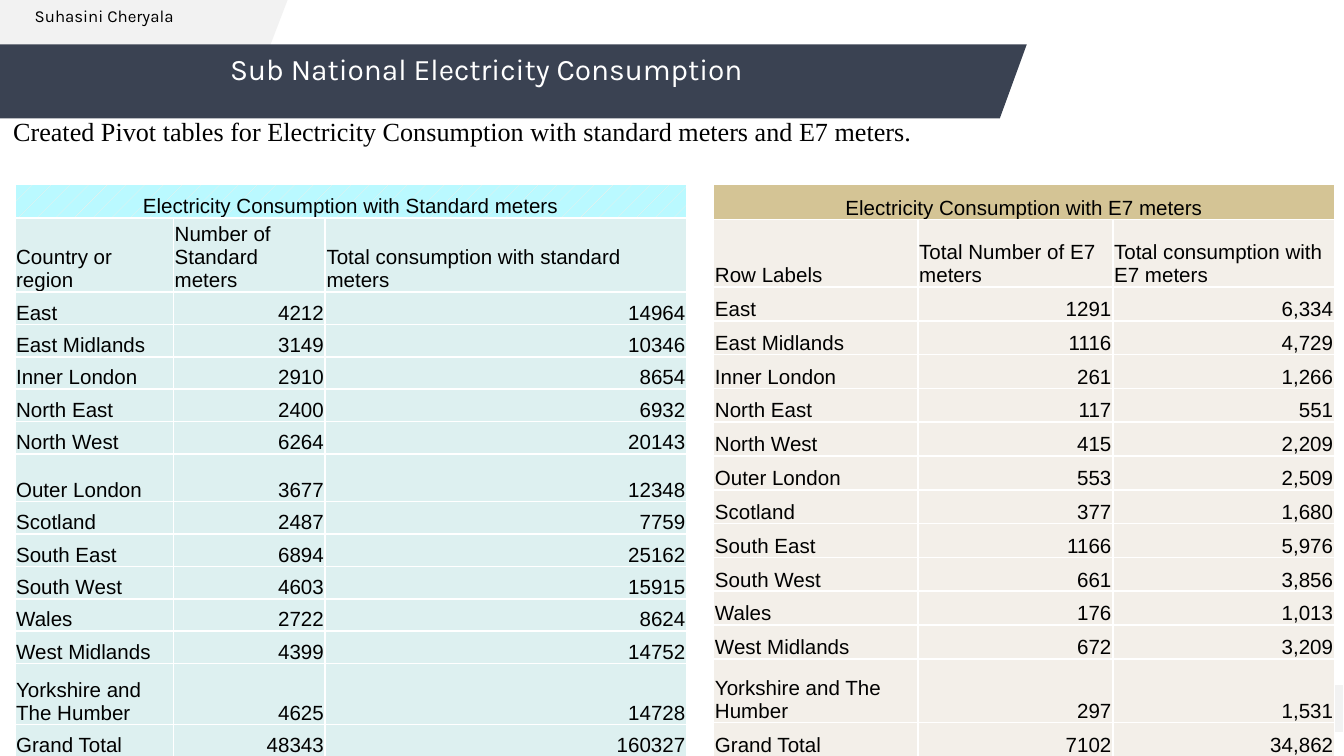
from dataclasses import dataclass

from lxml import etree
from pptx import Presentation
from pptx.dml.color import RGBColor
from pptx.enum.dml import MSO_PATTERN
from pptx.enum.text import MSO_ANCHOR, PP_ALIGN
from pptx.oxml.ns import qn
from pptx.util import Inches, Pt

LEFT, CENTER, RIGHT = PP_ALIGN.LEFT, PP_ALIGN.CENTER, PP_ALIGN.RIGHT
TOP, MIDDLE, BOTTOM = MSO_ANCHOR.TOP, MSO_ANCHOR.MIDDLE, MSO_ANCHOR.BOTTOM
DOTS = MSO_PATTERN.PERCENT_5


@dataclass(frozen=True)
class Theme:
    """Colours, fonts and type sizes of the slide."""
    ink: str = "000000"
    white: str = "FFFFFF"
    banner: str = "3A4252"
    tab: str = "F2F2F2"
    cyan: str = "BAF9FF"
    mint: str = "DDF0F0"
    gold: str = "D4C495"
    sand: str = "F3EFE9"
    heading: str = "Karla"
    body: str = "Times New Roman"
    table: str = "Arial"
    title_size: float = 16
    lead_size: float = 14
    table_size: float = 11
    author_size: float = 9


T = Theme()
REGIONS = ["East", "East Midlands", "Inner London", "North East", "North West",
           "Outer London", "Scotland", "South East", "South West", "Wales",
           "West Midlands", "Yorkshire and The Humber", "Grand Total"]
STANDARD = dict(
    title="Electricity Consumption with Standard meters",
    heads=["Country or region", "Number of Standard meters",
           "Total consumption with standard meters"],
    meters=[4212, 3149, 2910, 2400, 6264, 3677, 2487, 6894, 4603, 2722, 4399,
            4625, 48343],
    totals=[14964, 10346, 8654, 6932, 20143, 12348, 7759, 25162, 15915, 8624,
            14752, 14728, 160327],
    number="{}", cols=[1.18, 1.13, 2.69], height=4.2,
    rows=[0.25, 0.48] + [0.24] * 5 + [0.35] + [0.24] * 5 + [0.45, 0.24],
    title_fill=T.cyan, fill=T.mint, dots=T.sand)
E7 = dict(
    title="Electricity Consumption with E7 meters",
    heads=["Row Labels", "Total Number of E7 meters",
           "Total consumption with E7 meters"],
    meters=[1291, 1116, 261, 117, 415, 553, 377, 1166, 661, 176, 672, 297, 7102],
    totals=[6334, 4729, 1266, 551, 2209, 2509, 1680, 5976, 3856, 1013, 3209,
            1531, 34862],
    number="{:,}", cols=[1.52, 1.45, 1.65], height=4.26,
    rows=[0.26, 0.5] + [0.25] * 11 + [0.47, 0.25],
    title_fill=T.gold, fill=T.sand, dots=None)


def rgb(value):
    """Turn a hex string into a colour."""
    return RGBColor.from_string(value)


def set_all(obj, values):
    """Set each attribute of an object from a dict."""
    for name, value in values.items():
        setattr(obj, name, value)


def write(tf, text, font, size, color=T.ink, align=LEFT, spacing=None):
    """Write one formatted paragraph into a text frame."""
    p = tf.paragraphs[0]
    set_all(p, dict(alignment=align, line_spacing=spacing))
    r = p.add_run()
    r.text = text
    set_all(r.font, dict(name=font, size=Pt(size)))
    r.font.color.rgb = rgb(color)


def add_text(s, box, text, font, size, inset=0.05, anchor=TOP, **style):
    """Add a wrapped text box."""
    tf = s.shapes.add_textbox(*map(Inches, box)).text_frame
    set_all(tf, dict(word_wrap=True, vertical_anchor=anchor,
                     margin_left=Inches(0.1), margin_right=Inches(0.1),
                     margin_top=Inches(inset), margin_bottom=Inches(inset)))
    write(tf, text, font, size, **style)


def add_band(s, box, slant, color):
    """Add a flat band whose right edge slants inward by the given length."""
    x, y, w, h = box
    fb = s.shapes.build_freeform(Inches(x), Inches(y))
    points = [(x + w, y), (x + w - slant, y + h), (x, y + h)]
    fb.add_line_segments([(Inches(a), Inches(b)) for a, b in points], close=True)
    sp = fb.convert_to_shape()
    sp.shadow.inherit = False
    sp.fill.solid()
    sp.fill.fore_color.rgb = rgb(color)
    sp.line.fill.background()


def add_borders(cell):
    """Draw thin white lines on the four sides of a cell."""
    tc_pr = cell._tc.get_or_add_tcPr()
    for i, side in enumerate(("a:lnL", "a:lnR", "a:lnT", "a:lnB")):
        ln = etree.Element(qn(side), w=str(Pt(1)))
        fill = etree.SubElement(ln, qn("a:solidFill"))
        etree.SubElement(fill, qn("a:srgbClr"), val=T.white)
        tc_pr.insert(i, ln)


def style_cell(cell, color, dots=None, top=0.01):
    """Give a cell its fill, margins and borders."""
    set_all(cell, dict(vertical_anchor=BOTTOM, margin_left=Inches(0.01),
                       margin_right=Inches(0.01), margin_top=Inches(top),
                       margin_bottom=0))
    if dots:
        cell.fill.patterned()
        cell.fill.pattern = DOTS
        cell.fill.fore_color.rgb = rgb(dots)
        cell.fill.back_color.rgb = rgb(color)
    else:
        cell.fill.solid()
        cell.fill.fore_color.rgb = rgb(color)
    add_borders(cell)


def add_pivot(s, x, y, data):
    """Add a pivot table with a merged title row at the given corner."""
    cols, rows, height = data["cols"], data["rows"], data["height"]
    box = map(Inches, (x, y, sum(cols), height))
    table = s.shapes.add_table(len(rows), len(cols), *box).table
    set_all(table, dict(first_row=False, horz_banding=False))
    for col, width in zip(table.columns, cols):
        col.width = Inches(width)
    for row, share in zip(table.rows, rows):
        row.height = Inches(share * height / sum(rows))
    for cell in table.rows[0].cells:
        style_cell(cell, data["title_fill"], data["dots"])
    table.cell(0, 0).merge(table.cell(0, len(cols) - 1))
    write(table.cell(0, 0).text_frame, data["title"], T.table, T.table_size,
          align=CENTER)
    number = data["number"].format
    body = [data["heads"]] + [
        [region, str(meters), number(total)] for region, meters, total
        in zip(REGIONS, data["meters"], data["totals"])]
    for i, values in enumerate(body, 1):
        for j, value in enumerate(values):
            cell = table.cell(i, j)
            style_cell(cell, data["fill"], top=0.01 if i > 1 else 0)
            write(cell.text_frame, value, T.table, T.table_size,
                  align=RIGHT if i > 1 and j else LEFT)


def add_header(s, x, y):
    """Add the author tab, the title banner and the lead sentence."""
    add_band(s, (x, y, 2.14, 0.34), 0.13, T.tab)
    add_band(s, (x, y + 0.33, 7.64, 0.55), 0.2, T.banner)
    add_text(s, (x + 0.15, y + 0.36, 6.94, 0.33),
             "Sub National Electricity Consumption", T.heading, T.title_size,
             anchor=MIDDLE, color=T.white, align=CENTER, spacing=0.9)
    add_text(s, (x, y + 0.76, 9.4, 0.5),
             "Created Pivot tables for Electricity Consumption with standard "
             "meters and E7 meters.", T.body, T.lead_size, inset=0.1)
    add_text(s, (x + 0.16, y + 0.01, 1.66, 0.24), "Suhasini Cheryala",
             T.heading, T.author_size, spacing=0.9)


def main():
    """Build the slide and save it."""
    prs = Presentation()
    set_all(prs, dict(slide_width=Inches(10), slide_height=Inches(10) * 9 // 16))
    s = prs.slides.add_slide(prs.slide_layouts[6])
    add_band(s, (9.66, 5.1, 0.33, 0.35), 0, T.tab)
    add_header(s, 0, 0)
    add_pivot(s, 0.11, 1.37, STANDARD)
    add_pivot(s, 5.31, 1.37, E7)
    prs.save("out.pptx")


if __name__ == "__main__":
    main()
